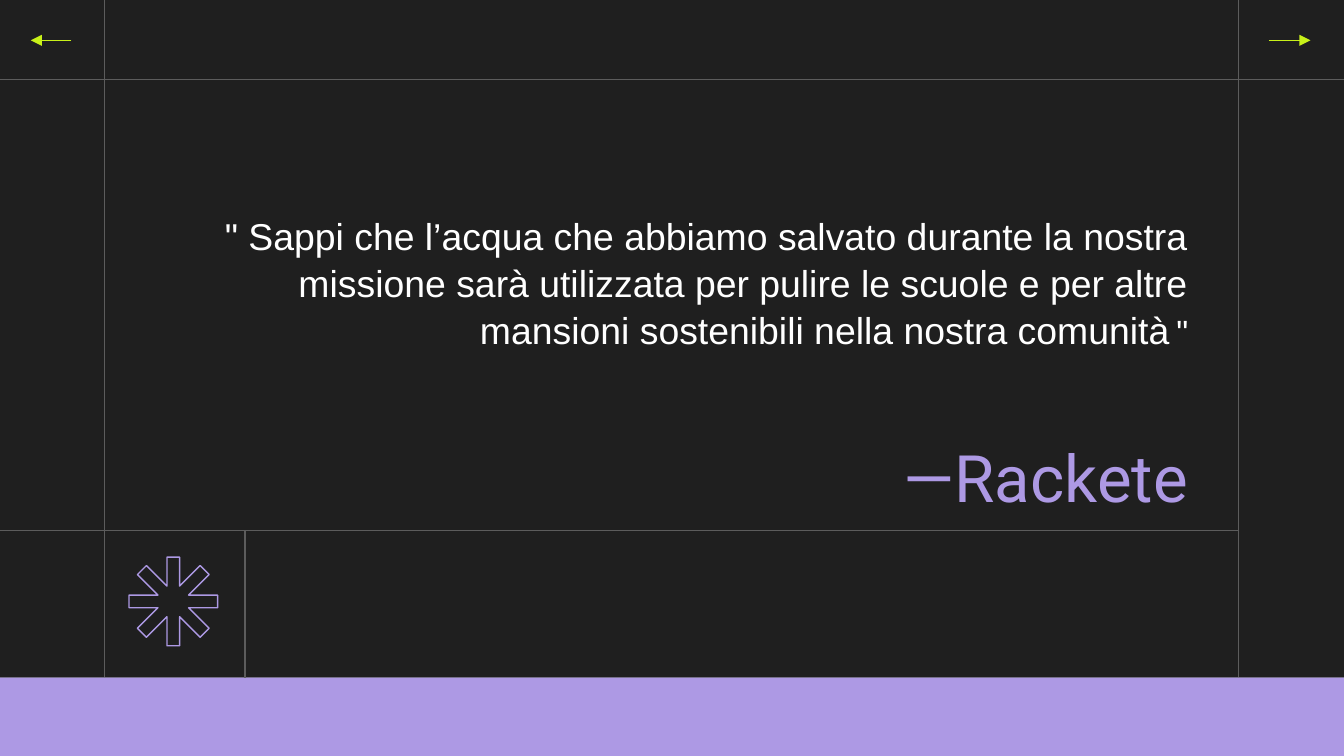
from math import cos, pi, sin, sqrt

from lxml.etree import SubElement
from pptx import Presentation
from pptx.dml.color import RGBColor
from pptx.enum.shapes import MSO_CONNECTOR as Connector, MSO_SHAPE as Shape
from pptx.enum.text import MSO_ANCHOR as Anchor, MSO_AUTO_SIZE as AutoSize, PP_ALIGN as Align
from pptx.oxml.ns import qn
from pptx.util import Pt

WIDTH, HEIGHT = 720, 405
LEFT_RULE, RIGHT_RULE, TOP_RULE = 56.1, 663.6, 42.5
BAND_TOP, FOOTER_TOP, ICON_RIGHT = 363, 284.4, 131.2
COLORS = {
    "background": "1F1F1F",
    "rule": "5C5C5C",
    "lilac": "AD99E4",
    "lime": "C8F119",
    "white": "FFFFFF",
}


def color(name):
    """Return the named palette colour."""
    return RGBColor.from_string(COLORS[name])


def add_line(slide, start, end, line_color, arrow=False):
    """Draw a thin straight line, optionally with an arrowhead at its end."""
    line = slide.shapes.add_connector(Connector.STRAIGHT, *map(Pt, (*start, *end)))
    line.line.color.rgb = color(line_color)
    line.line.width = Pt(0.75)
    if arrow:
        SubElement(line.line._get_or_add_ln(), qn("a:tailEnd"), type="triangle")
    SubElement(line._element.spPr, qn("a:effectLst"))


def add_frame(slide, left, top, width, height):
    """Draw the full-length rules and the band at the bottom."""
    right, bottom = left + width, top + height
    for x in (LEFT_RULE, RIGHT_RULE):
        add_line(slide, (left + x, top), (left + x, bottom), "rule")
    for y in (TOP_RULE, BAND_TOP):
        add_line(slide, (right, top + y), (left, top + y), "rule")
    band = slide.shapes.add_shape(
        Shape.RECTANGLE, Pt(left), Pt(top + BAND_TOP), Pt(width), Pt(height - BAND_TOP)
    )
    band.shadow.inherit = False
    band.fill.solid()
    band.fill.fore_color.rgb = color("lilac")
    band.line.fill.background()


def format_text(shape, runs, text_color, font, anchor):
    """Fill a shape with one right-aligned paragraph of (text, size) runs."""
    frame = shape.text_frame
    frame.word_wrap = True
    frame.auto_size = AutoSize.NONE
    frame.vertical_anchor = anchor
    frame.margin_left = frame.margin_right = Pt(7.2)
    frame.margin_top = frame.margin_bottom = Pt(7.2)
    paragraph = frame.paragraphs[0]
    paragraph.alignment = Align.RIGHT
    for text, size in runs:
        run = paragraph.add_run()
        run.text = text
        run.font.size = Pt(size)
        run.font.name = font
        run.font.color.rgb = color(text_color)
    return paragraph


def add_quote(slide, left, top, width, height):
    """Place the quotation above the title that names its author."""
    quote = slide.shapes.add_textbox(Pt(left), Pt(top), Pt(width), Pt(126))
    words = (
        "\" Sappi che l’acqua che abbiamo salvato durante la nostra missione "
        "sarà utilizzata per pulire le scuole e per altre mansioni sostenibili "
        "nella nostra comunità"
    )
    runs = [(words, 20), (" ", 12), ("\"", 18)]
    paragraph = format_text(quote, runs, "white", "Arial", Anchor.BOTTOM)
    paragraph.line_spacing = 1.05

    title = slide.shapes.title
    title_height = 50.4
    title.left, title.top = Pt(left), Pt(top + height - title_height)
    title.width, title.height = Pt(width), Pt(title_height)
    format_text(title, [("—Rackete", 35)], "lilac", "Roboto", Anchor.TOP)


def add_arrows(slide, left, top, width, height):
    """Draw the outward arrows at both ends of the header."""
    middle = top + height / 2
    right = left + width
    add_line(slide, (right - 40.3, middle), (right - 18, middle), "lime", arrow=True)
    add_line(slide, (left + 38.2, middle), (left + 16.5, middle), "lime", arrow=True)


def add_footer_rules(slide, left, top, width, height):
    """Draw the rules that close the footer and the icon cell."""
    add_line(slide, (left + width, top), (left, top), "rule")
    add_line(slide, (left + ICON_RIGHT, top + height), (left + ICON_RIGHT, top), "rule")


def add_asterisk(slide, left, top, size):
    """Outline an eight-armed asterisk in a square box."""
    radius, half_arm = size / 2, 3.4
    notch = half_arm * (1 + sqrt(2))
    arm = [(-half_arm, -radius), (half_arm, -radius), (half_arm, -notch)]
    points = []
    for step in range(8):
        angle = step * pi / 4
        for x, y in arm:
            points.append((
                Pt(left + radius + x * cos(angle) - y * sin(angle)),
                Pt(top + radius + x * sin(angle) + y * cos(angle)),
            ))
    builder = slide.shapes.build_freeform(*points[0])
    builder.add_line_segments(points[1:], close=True)
    asterisk = builder.convert_to_shape()
    asterisk.shadow.inherit = False
    asterisk.fill.solid()
    asterisk.fill.fore_color.rgb = color("background")
    asterisk.line.color.rgb = color("lilac")
    asterisk.line.width = Pt(0.75)


def main():
    """Build and save the quotation slide."""
    presentation = Presentation()
    presentation.slide_width, presentation.slide_height = Pt(WIDTH), Pt(HEIGHT)
    slide = presentation.slides.add_slide(presentation.slide_layouts[5])
    slide.background.fill.solid()
    slide.background.fill.fore_color.rgb = color("background")
    add_frame(slide, 0, 0, WIDTH, HEIGHT)
    add_quote(slide, 76.3, 69.8, 567.4, 207.4)
    add_arrows(slide, 0, 0, WIDTH, 43.2)
    add_footer_rules(slide, 0, FOOTER_TOP, RIGHT_RULE, BAND_TOP - FOOTER_TOP)
    add_asterisk(slide, 69.1, 298.5, 47.5)
    presentation.save("out.pptx")


if __name__ == "__main__":
    main()
